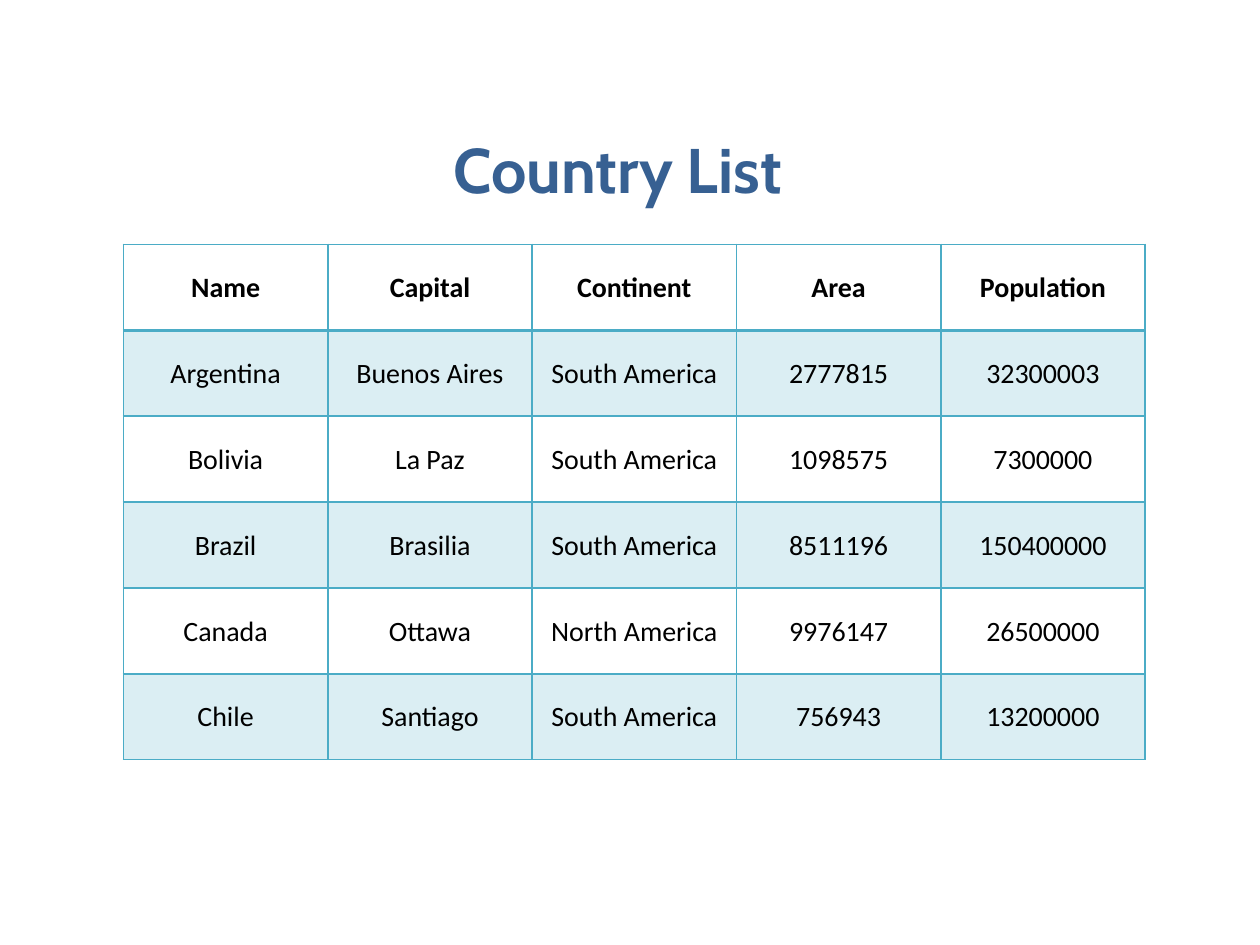
from dataclasses import dataclass

from lxml.etree import SubElement
from pptx import Presentation
from pptx.dml.color import RGBColor
from pptx.enum.text import MSO_ANCHOR as Anchor, MSO_AUTO_SIZE as AutoSize, PP_ALIGN as Align
from pptx.oxml.ns import qn
from pptx.util import Inches, Pt


@dataclass(frozen=True)
class Theme:
    title_font: str = "Cabin"
    body_font: str = "Calibri"
    title_size: int = 36
    body_size: int = 16
    title_color: str = "376092"
    text_color: str = "000000"
    accent: str = "4BACC6"
    band_alpha: int = 20
    thin_line: int = 1
    thick_line: int = 2


@dataclass(frozen=True)
class Country:
    name: str
    capital: str
    continent: str
    area: int
    population: int

    def texts(self) -> list[str]:
        return [self.name, self.capital, self.continent, str(self.area), str(self.population)]


THEME = Theme()
HEADERS = ["Name", "Capital", "Continent", "Area", "Population"]
COUNTRIES = [
    Country("Argentina", "Buenos Aires", "South America", 2777815, 32300003),
    Country("Bolivia", "La Paz", "South America", 1098575, 7300000),
    Country("Brazil", "Brasilia", "South America", 8511196, 150400000),
    Country("Canada", "Ottawa", "North America", 9976147, 26500000),
    Country("Chile", "Santiago", "South America", 756943, 13200000),
]


def write_text(frame, text: str, font: str, size: int, color: str, bold: bool) -> None:
    para = frame.paragraphs[0]
    para.text = text
    para.alignment = Align.CENTER
    span = para.runs[0]
    span.font.name = font
    span.font.size = Pt(size)
    span.font.bold = bold
    span.font.color.rgb = RGBColor.from_string(color)


def add_border(cell, side: str, width: int) -> None:
    properties = cell._tc.get_or_add_tcPr()
    line = SubElement(properties, qn(f"a:ln{side}"), w=str(Pt(width)))
    fill = SubElement(line, qn("a:solidFill"))
    SubElement(fill, qn("a:srgbClr"), val=THEME.accent)


def fill_band(cell) -> None:
    cell.fill.solid()
    cell.fill.fore_color.rgb = RGBColor.from_string(THEME.accent)
    color = cell._tc.tcPr.find(qn("a:solidFill")).find(qn("a:srgbClr"))
    SubElement(color, qn("a:alpha"), val=str(THEME.band_alpha * 1000))


def draw_cell(cell, text: str, row: int) -> None:
    is_header = row == 0
    write_text(cell.text_frame, text, THEME.body_font, THEME.body_size, THEME.text_color, is_header)
    cell.vertical_anchor = Anchor.MIDDLE
    cell.margin_left = cell.margin_right = cell.margin_top = Inches(0.01)
    cell.margin_bottom = Inches(0)
    thick_side = {0: "B", 1: "T"}.get(row)
    for side in "LRTB":
        add_border(cell, side, THEME.thick_line if side == thick_side else THEME.thin_line)
    if row % 2:
        fill_band(cell)
    else:
        cell.fill.background()


def draw_title(page, text: str) -> None:
    box = page.shapes.add_textbox(Inches(3.11), Inches(0.99), Inches(3.7), Inches(0.71))
    box.text_frame.word_wrap = True
    box.text_frame.auto_size = AutoSize.SHAPE_TO_FIT_TEXT
    write_text(box.text_frame, text, THEME.title_font, THEME.title_size, THEME.title_color, True)


def draw_table(page, rows: list[list[str]]) -> None:
    table = page.shapes.add_table(
        len(rows), len(HEADERS), Inches(0.98), Inches(1.94), Inches(8.11), Inches(4.09)
    ).table
    table.first_row = False
    table.horz_banding = False
    for row, texts in enumerate(rows):
        for column, text in enumerate(texts):
            draw_cell(table.cell(row, column), text, row)


def main() -> None:
    deck = Presentation()
    deck.slide_width, deck.slide_height = Inches(10), Inches(7.5)
    page = deck.slides.add_slide(deck.slide_layouts[6])
    draw_table(page, [HEADERS] + [country.texts() for country in COUNTRIES])
    draw_title(page, "Country List ")
    deck.save("out.pptx")


if __name__ == "__main__":
    main()
